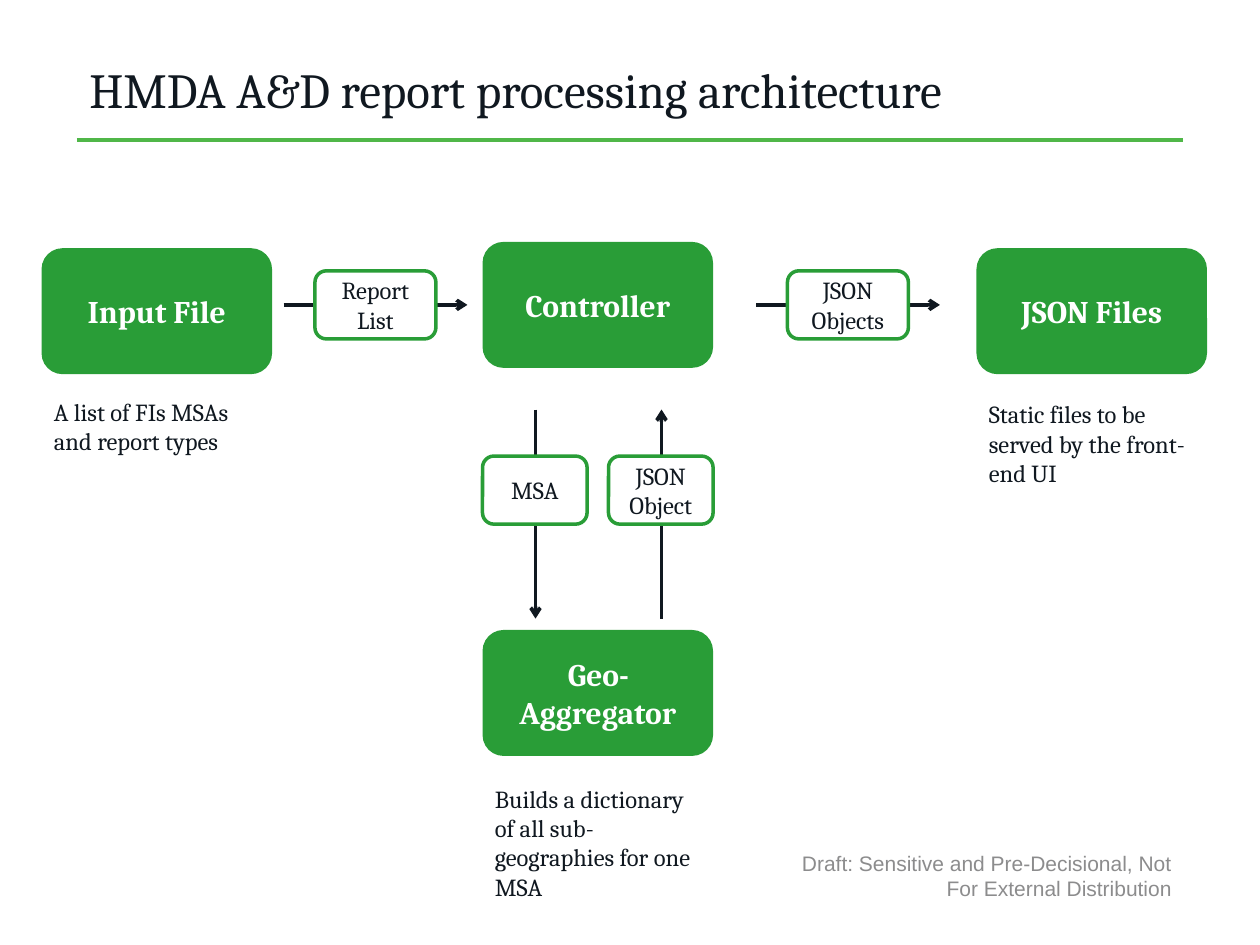
from dataclasses import dataclass

from lxml import etree
from pptx import Presentation
from pptx.dml.color import RGBColor
from pptx.enum import shapes, text
from pptx.oxml import ns
from pptx.util import Inches, Pt


@dataclass(frozen=True)
class Theme:
    ink: RGBColor = RGBColor(0x10, 0x18, 0x20)
    green: RGBColor = RGBColor(0x29, 0x9D, 0x37)
    rule: RGBColor = RGBColor(0x50, 0xB7, 0x48)
    gray: RGBColor = RGBColor(0x8C, 0x8C, 0x8D)
    white: RGBColor = RGBColor(0xFF, 0xFF, 0xFF)
    serif: str = "Cambria"
    sans: str = "Arial"
    title: int = 28
    stage: int = 18
    body: int = 14
    footer: int = 12
    line: int = 2


THEME = Theme()
LEFT, CENTER, RIGHT = (text.PP_ALIGN.LEFT, text.PP_ALIGN.CENTER,
                       text.PP_ALIGN.RIGHT)
TOP, MIDDLE = text.MSO_ANCHOR.TOP, text.MSO_ANCHOR.MIDDLE

# Shared sizes and column positions, in inches
STAGE_W, STAGE_H = 1.83, 1
LABEL_H = 0.54
INPUT_X, CENTER_X, OUTPUT_X = 0.33, 3.83, 7.75
SIDE_Y, FLOW_Y = 1.97, 2.42


def write(sp, words, size, color, align=LEFT, anchor=MIDDLE, bold=False,
          face=THEME.serif):
    tf = sp.text_frame
    tf.text = words
    tf.word_wrap = True
    tf.auto_size = text.MSO_AUTO_SIZE.NONE
    tf.vertical_anchor = anchor
    p = tf.paragraphs[0]
    p.alignment = align
    p.font.name = face
    p.font.size = Pt(size)
    p.font.bold = bold
    p.font.color.rgb = color


def add_title(s, words):
    sp = s.shapes.title
    sp.left, sp.top = Inches(0.61), Inches(0.3)
    sp.width, sp.height = Inches(8.79), Inches(0.81)
    write(sp, words, THEME.title, THEME.ink)


def add_rounded(s, x, y, w, h, fill):
    sp = s.shapes.add_shape(shapes.MSO_SHAPE.ROUNDED_RECTANGLE,
                            Inches(x), Inches(y), Inches(w), Inches(h))
    sp.shadow.inherit = False
    sp.fill.solid()
    sp.fill.fore_color.rgb = fill
    return sp


def add_stage(s, x, y, words):
    sp = add_rounded(s, x, y, STAGE_W, STAGE_H, THEME.green)
    sp.line.fill.background()
    write(sp, words, THEME.stage, THEME.white, CENTER, bold=True)


def add_label(s, x, y, w, words):
    sp = add_rounded(s, x, y, w, LABEL_H, THEME.white)
    sp.line.color.rgb = THEME.green
    sp.line.width = Pt(THEME.line)
    write(sp, words, THEME.body, THEME.ink, CENTER)


def add_line(s, start, end, color, arrow=False):
    c = s.shapes.add_connector(shapes.MSO_CONNECTOR.STRAIGHT,
                               *map(Inches, start + end))
    c.line.color.rgb = color
    c.line.width = Pt(THEME.line)
    if arrow:
        etree.SubElement(c.line._get_or_add_ln(), ns.qn("a:tailEnd"),
                         type="arrow")
    etree.SubElement(c._element.spPr, ns.qn("a:effectLst"))


def add_text(s, x, y, w, h, words, *style, **options):
    sp = s.shapes.add_textbox(Inches(x), Inches(y), Inches(w), Inches(h))
    write(sp, words, *style, **options)


def main():
    prs = Presentation()
    prs.slide_width, prs.slide_height = Inches(10), Inches(7.5)
    s = prs.slides.add_slide(prs.slide_layouts[5])

    # Heading and footer
    add_line(s, (0.61, 1.11), (9.39, 1.11), THEME.rule)
    add_title(s, "HMDA A&D report processing architecture")
    add_text(s, 6.23, 6.75, 3.17, 0.4,
             "Draft: Sensitive and Pre-Decisional, Not For External Distribution",
             THEME.footer, THEME.gray, align=RIGHT, face=THEME.sans)

    # Processing stages
    for x, y, words in ((CENTER_X, 1.92, "Controller"),
                        (INPUT_X, SIDE_Y, "Input File"),
                        (CENTER_X, 5, "Geo-Aggregator"),
                        (OUTPUT_X, SIDE_Y, "JSON Files")):
        add_stage(s, x, y, words)

    # Exchange between controller and aggregator
    for x, start, end, words in ((4.25, 3.25, 4.91, "MSA"),
                                 (5.25, 4.91, 3.25, "JSON Object")):
        add_line(s, (x, start), (x, end), THEME.ink, arrow=True)
        add_label(s, x - 0.42, 3.62, 0.83, words)

    # Flow from input to output
    for x, words in ((2.25, "Report List"), (6, "JSON Objects")):
        add_line(s, (x, FLOW_Y), (x + 1.46, FLOW_Y), THEME.ink, arrow=True)
        add_label(s, x + 0.25, FLOW_Y - LABEL_H / 2, 0.96, words)

    # Stage notes
    for x, y, h, words in (
            (INPUT_X, 3.1, 0.57, "A list of FIs MSAs and report types"),
            (CENTER_X, 6.17, 1.04,
             "Builds a dictionary of all sub-geographies for one MSA"),
            (OUTPUT_X, 3.12, 0.81,
             "Static files to be served by the front-end UI")):
        add_text(s, x, y, STAGE_W, h, words, THEME.body, THEME.ink, anchor=TOP)

    prs.save("out.pptx")


if __name__ == "__main__":
    main()
